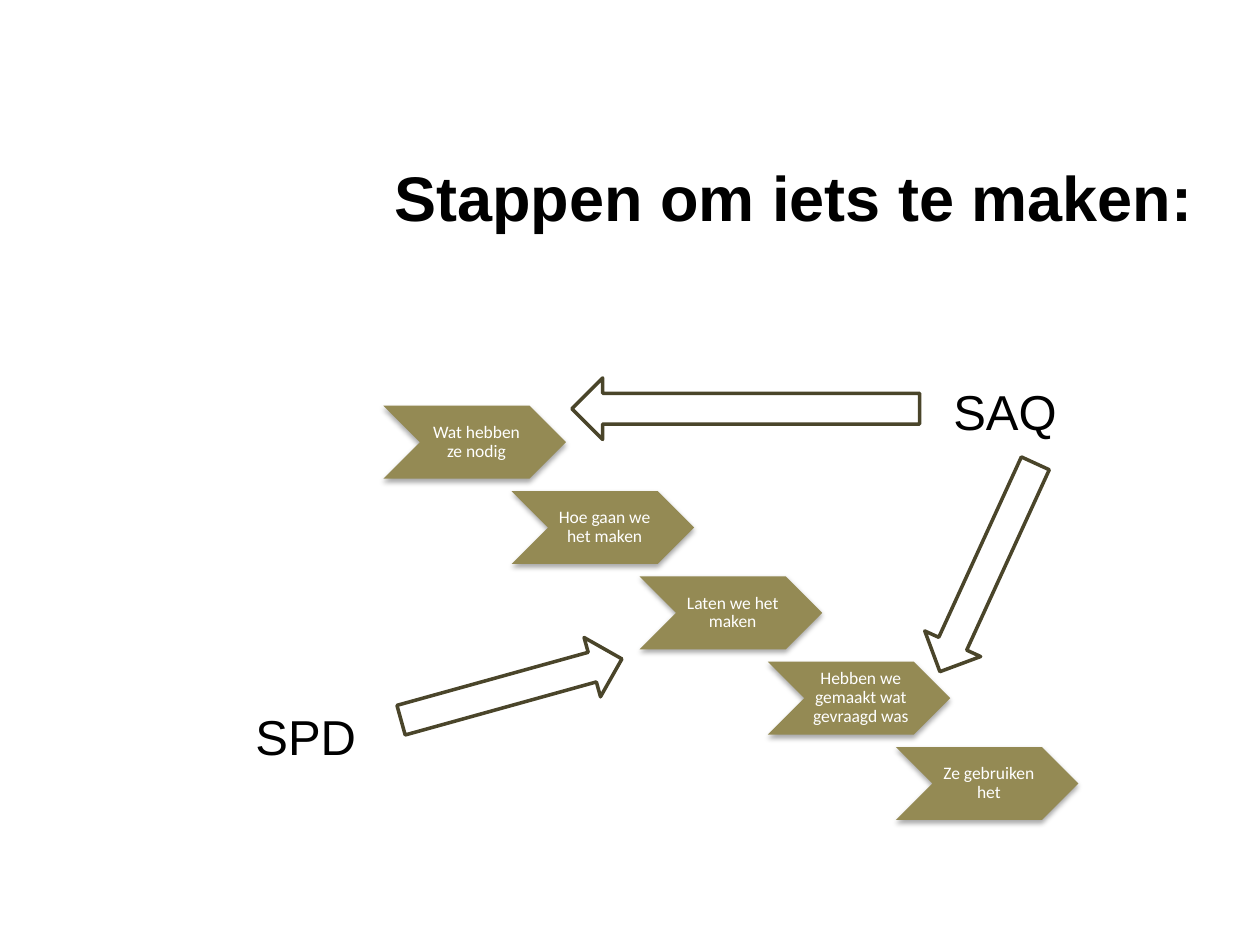
from lxml.etree import SubElement
from pptx import Presentation
from pptx.dml.color import RGBColor
from pptx.enum.shapes import MSO_SHAPE as Shape
from pptx.enum.text import MSO_ANCHOR as Anchor, PP_ALIGN as Align
from pptx.oxml.ns import qn
from pptx.util import Cm, Pt

COLORS = {"ink": "000000", "step": "948A54", "edge": "4A452A", "light": "FFFFFF"}
STEPS = [
    "Wat hebben ze nodig",
    "Hoe gaan we het maken",
    "Laten we het maken",
    "Hebben we gemaakt wat gevraagd was",
    "Ze gebruiken het",
]


def tint(name):
    """Return the named colour."""
    return RGBColor.from_string(COLORS[name])


def write(shape, text, font="Arial", size=28, color="ink", bold=False,
          align=Align.LEFT, anchor=Anchor.TOP, wrap=True, space=1.0, inset=None):
    """Put formatted text into a shape."""
    frame = shape.text_frame
    frame.word_wrap = wrap
    frame.vertical_anchor = anchor
    if inset:
        (frame.margin_left, frame.margin_top,
         frame.margin_right, frame.margin_bottom) = map(Cm, inset)
    par = frame.paragraphs[0]
    par.alignment, par.line_spacing = align, space
    run = par.add_run()
    run.text = text
    run.font.name, run.font.size, run.font.bold = font, Pt(size), bold
    run.font.color.rgb = tint(color)


def shade(shape):
    """Give a shape a soft shadow below it."""
    shape.shadow.inherit = False
    effects = shape._element.spPr.find(qn("a:effectLst"))
    outer = SubElement(effects, qn("a:outerShdw"), blurRad="40000", dist="23000",
                       dir="5400000", rotWithShape="0")
    black = SubElement(outer, qn("a:srgbClr"), val=COLORS["ink"])
    SubElement(black, qn("a:alpha"), val="35000")


def add_title(slide, text, box):
    """Place the slide title in the box."""
    title = slide.shapes.title
    title.left, title.top, title.width, title.height = map(Cm, box)
    write(title, text, size=36, bold=True, anchor=Anchor.MIDDLE)


def add_steps(slide, steps, box, wide=3.68, high=1.47):
    """Lay a stair of chevrons from corner to corner of the box."""
    left, top, width, height = box
    gaps = len(steps) - 1
    run, drop = (width - wide) / gaps, (height - high) / gaps
    parts = slide.shapes.add_group_shape().shapes
    for i, text in enumerate(steps):
        x, y = left + i * run, top + i * drop
        step = parts.add_shape(Shape.CHEVRON, Cm(x), Cm(y), Cm(wide), Cm(high))
        step.fill.solid()
        step.fill.fore_color.rgb = tint("step")
        step.line.fill.background()
        shade(step)
        label = parts.add_textbox(Cm(x + high / 2), Cm(y), Cm(wide - high), Cm(high))
        write(label, text, font="Calibri", size=10, color="light", space=0.9,
              align=Align.CENTER, anchor=Anchor.MIDDLE, inset=(0.1, 0.03, 0.03, 0.03))


def add_arrow(slide, box, turn=0):
    """Draw an outlined arrow in the box, turned by degrees."""
    arrow = slide.shapes.add_shape(Shape.LEFT_ARROW, *map(Cm, box))
    arrow.rotation = turn
    arrow.fill.background()
    arrow.line.color.rgb = tint("edge")
    arrow.line.width = Pt(2)
    arrow.shadow.inherit = False


def add_label(slide, text, box):
    """Place a large label in the box."""
    write(slide.shapes.add_textbox(*map(Cm, box)), text, wrap=False)


def main():
    """Build and save the slide."""
    deck = Presentation()
    deck.slide_width, deck.slide_height = Cm(25.4), Cm(19.05)
    slide = deck.slides.add_slide(deck.slide_layouts[5])
    add_title(slide, "Stappen om iets te maken:", (7.7, 3.05, 16.94, 1.8))
    add_steps(slide, STEPS, (7.73, 8.18, 14.01, 8.35))
    add_arrow(slide, (11.53, 7.62, 7.01, 1.24))
    add_arrow(slide, (17.6, 10.82, 4.62, 1.24), turn=294.6)
    add_label(slide, "SAQ", (18.97, 7.57, 2.62, 1.45))
    add_arrow(slide, (8, 13.28, 4.62, 1.24), turn=164.5)
    add_label(slide, "SPD", (4.9, 14.12, 2.57, 1.45))
    deck.save("out.pptx")


if __name__ == "__main__":
    main()
